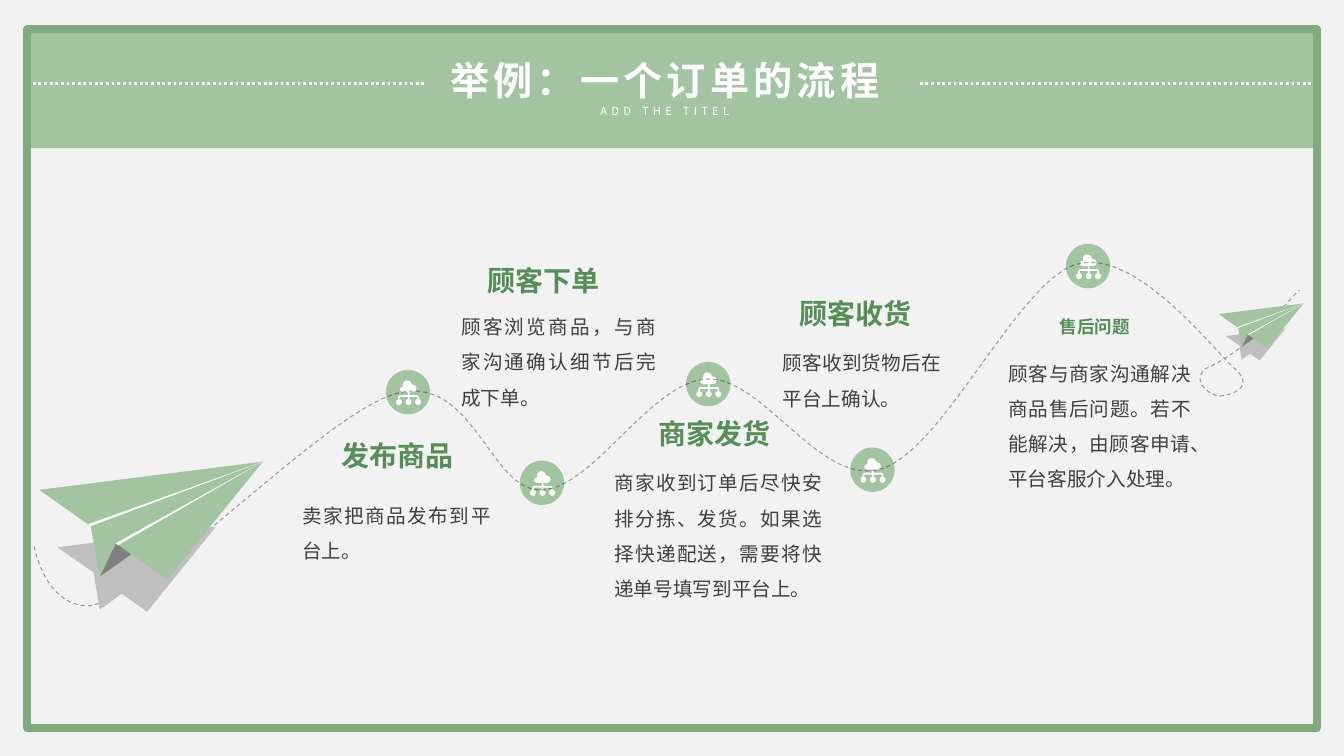
from lxml import etree
from pptx import Presentation
from pptx import util as u
from pptx.dml.color import RGBColor
from pptx.enum import dml, shapes, text
from pptx.oxml.ns import qn

PX = 9144
GREEN = "A2C4A1"
CJK_FONT = "Noto Sans CJK SC"
color = RGBColor.from_string


def write(shape, words, size, fill, font="Roboto Slab", bold=False, spacing=0,
          line_spacing=None, align="CENTER", anchor="TOP", wrap=True):
    frame = shape.text_frame
    frame.auto_size = text.MSO_AUTO_SIZE.NONE
    frame.word_wrap = wrap
    frame.vertical_anchor = text.MSO_ANCHOR[anchor]
    frame.margin_left = frame.margin_right = 10 * PX
    frame.margin_top = frame.margin_bottom = 5 * PX
    paragraph = frame.paragraphs[0]
    paragraph.alignment = text.PP_ALIGN[align]
    paragraph.line_spacing = line_spacing
    run = paragraph.add_run()
    run.text = words
    run.font.size = u.Pt(size)
    run.font.bold = bold
    run.font.color.rgb = color(fill)
    run.font.name = font
    properties = run._r.get_or_add_rPr()
    etree.SubElement(properties, qn("a:ea")).set("typeface", CJK_FONT)
    if spacing:
        properties.set("spc", str(spacing * 100))


def paint(shape, fill=None, line=None, width=1):
    shape.shadow.inherit = False
    if fill:
        shape.fill.solid()
        shape.fill.fore_color.rgb = color(fill)
    else:
        shape.fill.background()
    if line:
        shape.line.color.rgb = color(line)
        shape.line.width = u.Pt(width)
    else:
        shape.line.fill.background()


presentation = Presentation()
presentation.slide_width = 1334 * PX
presentation.slide_height = 750 * PX
slide = presentation.slides.add_slide(presentation.slide_layouts[5])
slide.background.fill.solid()
slide.background.fill.fore_color.rgb = color("F2F2F2")

title = slide.shapes.title
title.left, title.top, title.width, title.height = (n * PX for n in (422, 51, 476, 57))
write(title, "举例：一个订单的流程", 28, "FFFFFF", font=CJK_FONT, bold=True, spacing=3)

header = slide.shapes.add_shape(shapes.MSO_SHAPE.RECTANGLE, 27 * PX, 29 * PX, 1280 * PX, 118 * PX)
paint(header, GREEN)
slide.shapes._spTree.remove(title._element)
slide.shapes._spTree.append(title._element)
for left in (27, 913):
    rule = slide.shapes.add_connector(
        shapes.MSO_CONNECTOR.STRAIGHT, left * PX, 83 * PX, (left + 394) * PX, 83 * PX)
    rule.line.color.rgb = color("F2F2F2")
    rule.line.width = u.Pt(2)
    rule.line.dash_style = dml.MSO_LINE.ROUND_DOT
    etree.SubElement(rule._element.spPr, qn("a:effectLst"))
border = slide.shapes.add_shape(shapes.MSO_SHAPE.RECTANGLE, 27 * PX, 29 * PX, 1280 * PX, 693 * PX)
paint(border, line="83A97E", width=5.5)
subtitle = slide.shapes.add_textbox(583 * PX, 99 * PX, 154 * PX, 23 * PX)
write(subtitle, "ADD THE TITEL", 8, "FFFFFF", font=CJK_FONT, spacing=3, wrap=False)

steps = [
    ("发布商品", 20, (312, 429, 165, 45), "卖家把商品发布到平台上。",
     (290, 483, 207, 142), (383, 367)),
    ("顾客下单", 20, (457, 256, 165, 45), "顾客浏览商品，与商家沟通确认细节后完成下单。",
     (448, 296, 213, 117), (516, 457)),
    ("商家发货", 20, (627, 407, 165, 45),
     "商家收到订单后尽快安排分拣、发货。如果选择快递配送，需要将快递单号填写到平台上。",
     (600, 451, 226, 170), (681, 359)),
    ("顾客收货", 20, (767, 288, 165, 45), "顾客收到货物后在平台上确认。",
     (767, 332, 177, 80), (844, 444)),
    ("售后问题", 12.5, (1020, 306, 133, 35),
     "顾客与商家沟通解决商品售后问题。若不能解决，由顾客申请、平台客服介入处理。",
     (991, 342, 201, 159), (1058, 242)),
]
cloud_icon = [
    (91, 76), (91, 66), (85, 60), (53, 60), (53, 48), (68, 48),
    (87, 48, 87, 18, 65, 18), (58, -6, 24, -6, 28, 26), (12, 26, 12, 48, 27, 48),
    (47, 48), (47, 60), (15, 60), (9, 66), (9, 76),
    (-3, 76, -3, 100, 12, 100), (27, 100, 27, 76, 15, 76), (15, 67), (47, 67), (47, 76),
    (35, 76, 35, 100, 50, 100), (65, 100, 65, 76, 53, 76), (53, 67), (85, 67), (85, 76),
    (73, 76, 73, 100, 88, 100), (103, 100, 103, 76, 91, 76),
]
route = [
    (34, 542), (34, 543, 45, 602, 89, 601), (160, 588, 321, 409, 395, 390),
    (470, 371, 487, 489, 538, 486), (589, 484, 645, 380, 701, 376),
    (758, 373, 814, 484, 875, 465), (937, 446, 1011, 278, 1069, 262),
    (1128, 246, 1205, 348, 1227, 367), (1248, 387, 1215, 393, 1210, 393),
    (1205, 393, 1181, 381, 1196, 366), (1243, 346, 1282, 293, 1290, 288),
]
plane_parts = [
    ("BFBFBF", [(-47, 65), (-204, 85), (-168, 110), (-162, 147), (-140, 131), (-115, 149)]),
    ("808080", [(-162, 114), (0, 0), (-146, 81)]),
    (GREEN, [(0, 0), (-171, 64), (-222, 28)]),
    (GREEN, [(0, 0), (-146, 81), (-95, 117)]),
    (GREEN, [(-146, 81), (0, 0), (-171, 64), (-162, 114)]),
    ("FFFFFF", [(-173, 62), (0, 0), (-171, 64)]),
    ("FFFFFF", [(-146, 81), (0, 0), (-144, 83)]),
]

outlines = []
for heading, size, heading_box, details, details_box, (left, top) in steps:
    box = slide.shapes.add_textbox(*(n * PX for n in details_box))
    write(box, details, 14, "404040", line_spacing=1.5, align="JUSTIFY")
    box = slide.shapes.add_textbox(*(n * PX for n in heading_box))
    write(box, heading, size, "568E57", bold=True, anchor="MIDDLE", wrap=False)
    badge = slide.shapes.add_shape(
        shapes.MSO_SHAPE.OVAL, left * PX, top * PX, 44 * PX, 44 * PX)
    paint(badge, GREEN)
    outlines.append((cloud_icon, left + 10, top + 10, 0.25, "FFFFFF"))
outlines.append((route, 0, 0, 1, None))
for tip_x, tip_y, scale in ((261, 458, 1), (1294, 301, 0.38)):
    for fill, points in plane_parts:
        outlines.append((points, tip_x, tip_y, scale, fill))

for segments, left, top, scale, fill in outlines:
    placed = [
        [(round((left + x * scale) * PX), round((top + y * scale) * PX))
         for x, y in zip(segment[::2], segment[1::2])]
        for segment in segments]
    builder = slide.shapes.build_freeform(*placed[0][-1])
    builder.add_line_segments([points[-1] for points in placed[1:]], close=fill is not None)
    outline = builder.convert_to_shape()
    strokes = list(outline._element.iter(qn("a:lnTo")))
    for points, stroke in zip(placed[1:], strokes):
        if len(points) == 3:
            stroke.tag = qn("a:cubicBezTo")
            for index, (x, y) in enumerate(points[:2]):
                control = etree.Element(qn("a:pt"), x=str(x - outline.left), y=str(y - outline.top))
                stroke.insert(index, control)
    if fill:
        paint(outline, fill)
    else:
        paint(outline, line="000000", width=0.75)
        outline.line.dash_style = dml.MSO_LINE.DASH
        ink = outline.line._ln.find(".//" + qn("a:srgbClr"))
        etree.SubElement(ink, qn("a:alpha")).set("val", "36000")

presentation.save("out.pptx")
